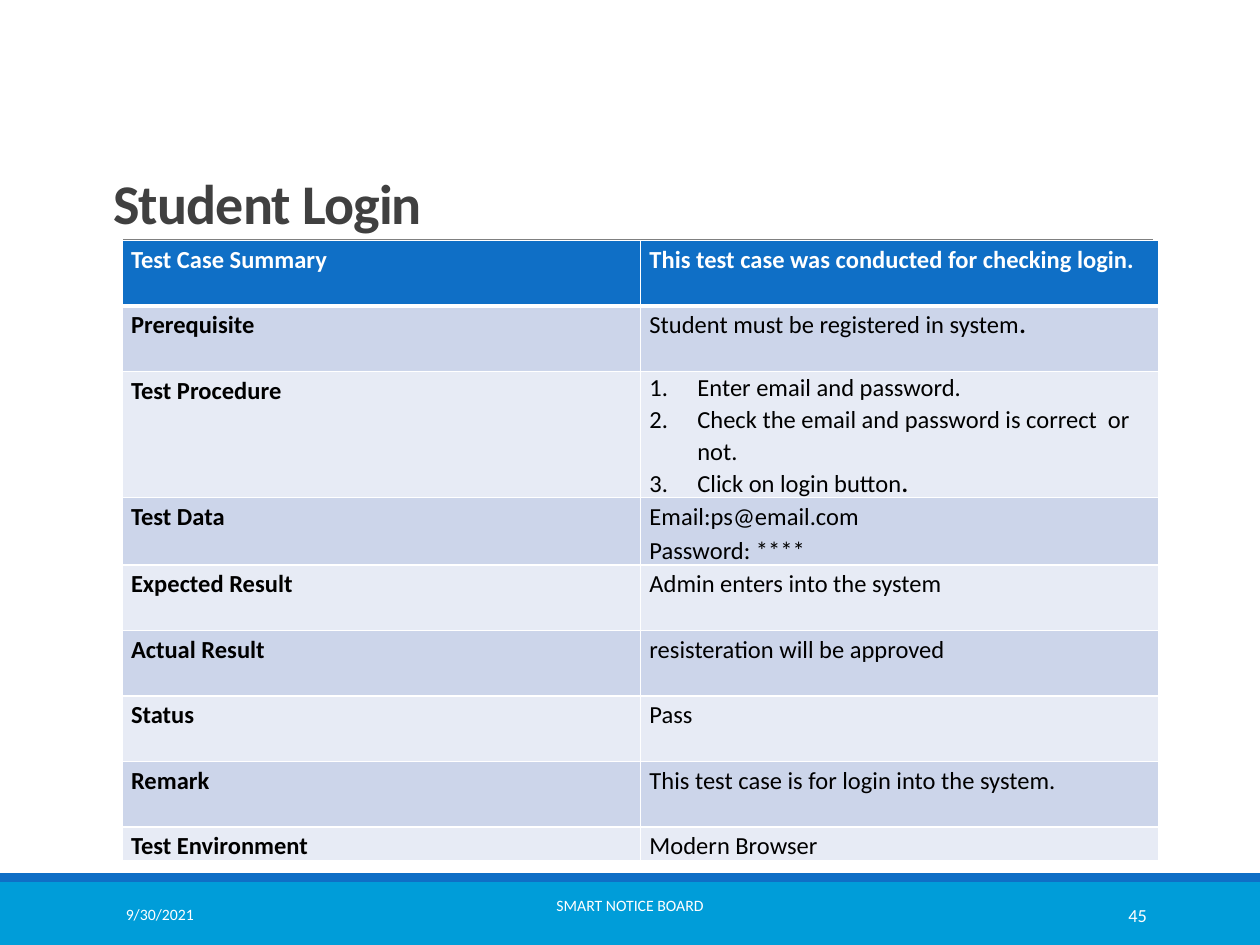
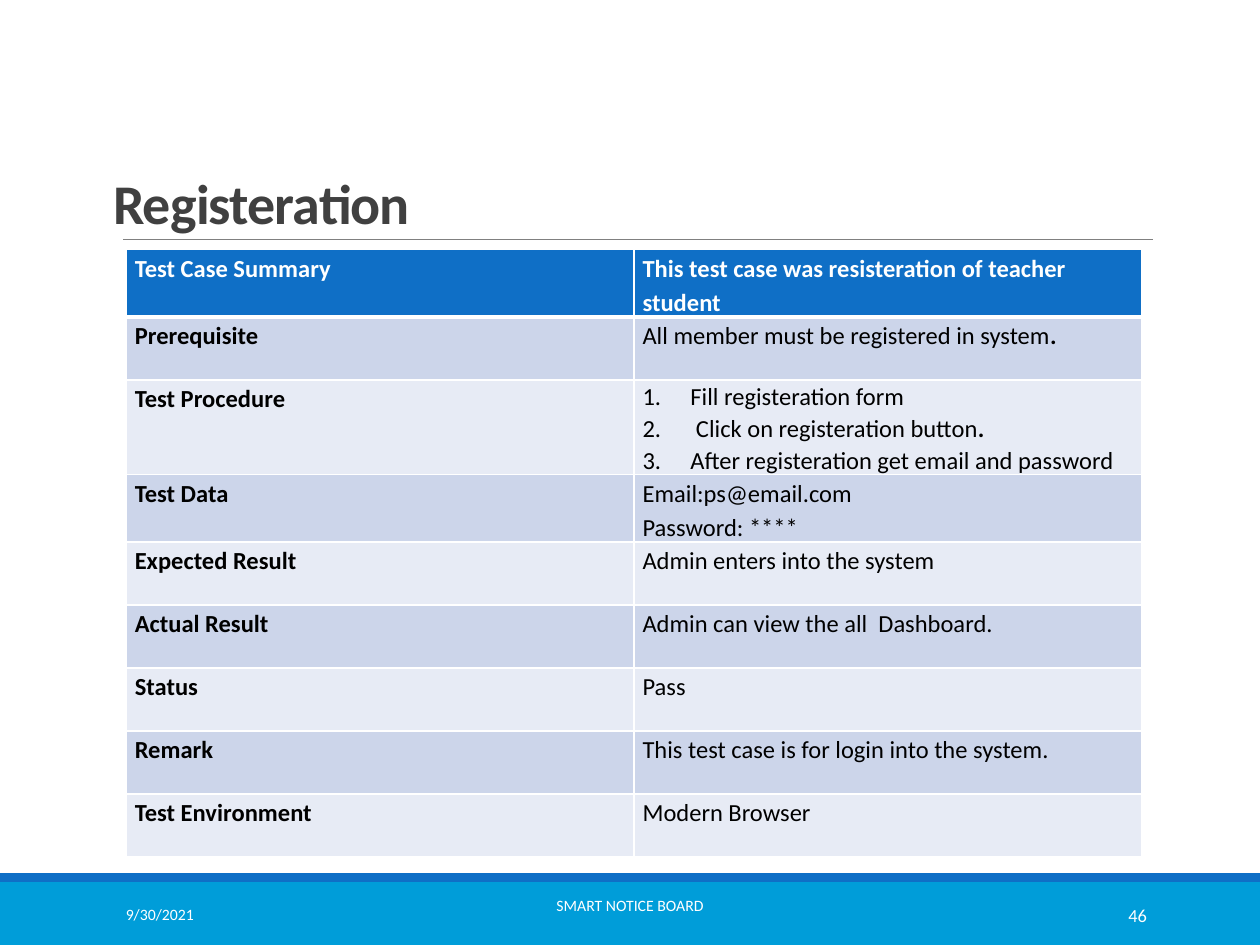
from lxml.etree import SubElement
from pptx import Presentation
from pptx.dml.color import RGBColor
from pptx.enum.shapes import MSO_CONNECTOR as Connector, MSO_SHAPE as Shape
from pptx.enum.text import MSO_ANCHOR as Anchor, PP_ALIGN as Align
from pptx.oxml.ns import qn
from pptx.util import Inches, Pt

FONT = "Calibri"
COLORS = {
    "white": "FFFFFF",
    "black": "000000",
    "title": "404040",
    "rule": "808080",
    "footer": "009DD9",
    "accent": "0F6FC6",
    "band_dark": "CCD5EA",
    "band_light": "E7EBF5",
}

FIELDS = ["Test Case Summary", "Prerequisite", "Test Procedure", "Test Data",
          "Expected Result", "Actual Result", "Status", "Remark",
          "Test Environment"]
PROCEDURE_ROW = FIELDS.index("Test Procedure")
LOGIN_DATA = ["Email:ps@email.com", "Password: ****"]
ENVIRONMENT = "Modern Browser"

# Within a value, the text after "|" is bold.
TEST_CASES = [
    {
        "title": "Student Login",
        "number": 45,
        "table_box": (0.97, 1.91, 8.23),
        "row_heights": [0.52] * 8 + [0.08],
        "values": [
            ["This test case was conducted for checking login."],
            ["Student must be registered in system|."],
            ["Enter email and password.",
             "Check the email and password is correct  or not.",
             "Click on login button|."],
            LOGIN_DATA,
            ["Admin enters into the system"],
            ["resisteration will be approved"],
            ["Pass"],
            ["This test case is for login into the system."],
            [ENVIRONMENT],
        ],
    },
    {
        "title": "Registeration",
        "number": 46,
        "table_box": (1, 1.98, 8.06),
        "row_heights": [0.5] * 9,
        "values": [
            ["This test case was resisteration of teacher student"],
            ["All member must be registered in system|."],
            ["Fill registeration form",
             " Click on registeration button|.",
             "After registeration get email and password"],
            LOGIN_DATA,
            ["Admin enters into the system"],
            ["Admin can view the all  Dashboard."],
            ["Pass"],
            ["This test case is for login into the system."],
            [ENVIRONMENT],
        ],
    },
]


def rgb(name):
    return RGBColor.from_string(COLORS[name])


def add_run(paragraph, text, size, color, bold=False):
    run = paragraph.add_run()
    run.text = text
    for name, value in {"name": FONT, "size": Pt(size), "bold": bold}.items():
        setattr(run.font, name, value)
    run.font.color.rgb = rgb(color)
    return run


def add_text(slide, box, text, size, color="white", bold=False,
             align=Align.LEFT, anchor=Anchor.MIDDLE):
    frame = slide.shapes.add_textbox(*map(Inches, box)).text_frame
    frame.word_wrap = True
    frame.vertical_anchor = anchor
    paragraph = frame.paragraphs[0]
    paragraph.alignment = align
    return paragraph, add_run(paragraph, text, size, color, bold)


def add_band(slide, top, height, color):
    """Draw a full-width bar."""
    band = slide.shapes.add_shape(
        Shape.RECTANGLE, *map(Inches, (0, top, 10, height)))
    band.shadow.inherit = False
    band.fill.solid()
    band.fill.fore_color.rgb = rgb(color)
    band.line.fill.background()


def add_title_rule(slide):
    rule = slide.shapes.add_connector(
        Connector.STRAIGHT, *map(Inches, (0.98, 1.9, 9.15, 1.9)))
    rule.line.color.rgb = rgb("rule")
    rule.line.width = Pt(0.5)
    SubElement(rule._element.spPr, qn("a:effectLst"))


def add_frame(slide, title, number):
    """Add everything around the table: bands, rule, title and footer."""
    add_band(slide, 7, 0.5, "footer")
    add_band(slide, 6.93, 0.07, "accent")
    add_title_rule(slide)
    paragraph, run = add_text(slide, (0.8, 0.98, 8.25, 0.94), title, 32,
                              "title", bold=True, anchor=Anchor.BOTTOM)
    paragraph.line_spacing = 0.85
    run.font._element.set("spc", "-50")
    add_text(slide, (0.9, 7.06, 2.03, 0.4), "9/30/2021", 9)
    add_text(slide, (3.02, 7.06, 3.96, 0.25), "SMART NOTICE BOARD", 9,
             align=Align.CENTER)
    add_text(slide, (8.12, 7.06, 1.08, 0.4), str(number), 10.5,
             align=Align.RIGHT)


def number_paragraph(paragraph):
    properties = paragraph._p.get_or_add_pPr()
    properties.set("marL", str(Inches(0.38)))
    properties.set("indent", str(-Inches(0.38)))
    SubElement(properties, qn("a:buAutoNum"), type="arabicPeriod")


def set_borders(cell, top, bottom):
    properties = cell._tc.get_or_add_tcPr()
    for side, width in {"L": 1, "R": 1, "T": top, "B": bottom}.items():
        line = SubElement(properties, qn(f"a:ln{side}"), w=str(Pt(width)))
        fill = SubElement(line, qn("a:solidFill"))
        SubElement(fill, qn("a:srgbClr"), val=COLORS["white"])


def fill_cell(cell, row, lines, bold, numbered=False):
    set_borders(cell, top=3 if row == 1 else 1, bottom=3 if row == 0 else 1)
    margins = {"margin_left": 0.07, "margin_right": 0.07,
               "margin_top": 0, "margin_bottom": 0}
    for name, value in margins.items():
        setattr(cell, name, Inches(value))
    cell.fill.solid()
    band = "band_dark" if row % 2 else "band_light"
    cell.fill.fore_color.rgb = rgb(band if row else "accent")
    color = "black" if row else "white"
    frame = cell.text_frame
    for index, line in enumerate(lines):
        paragraph = frame.add_paragraph() if index else frame.paragraphs[0]
        paragraph.line_spacing = 1.07 if numbered else 1.15
        if numbered:
            number_paragraph(paragraph)
        text, _, ending = line.partition("|")
        add_run(paragraph, text, 14, color, bold)
        if ending:
            add_run(paragraph, ending, 14, color, bold=True)


def add_test_table(slide, table_box, row_heights, values):
    left, top, width = table_box
    box = map(Inches, (left, top, width, sum(row_heights)))
    table = slide.shapes.add_table(len(FIELDS), 2, *box).table
    for column in table.columns:
        column.width = Inches(width / 2)
    for row, (field, lines) in enumerate(zip(FIELDS, values)):
        table.rows[row].height = Inches(row_heights[row])
        fill_cell(table.cell(row, 0), row, [field], bold=True)
        fill_cell(table.cell(row, 1), row, lines, bold=row == 0,
                  numbered=row == PROCEDURE_ROW)


def main():
    presentation = Presentation()
    presentation.slide_width = Inches(10)
    presentation.slide_height = Inches(7.5)
    for case in TEST_CASES:
        slide = presentation.slides.add_slide(presentation.slide_layouts[6])
        add_frame(slide, case["title"], case["number"])
        add_test_table(slide, case["table_box"], case["row_heights"],
                       case["values"])
    presentation.save("out.pptx")


if __name__ == "__main__":
    main()
